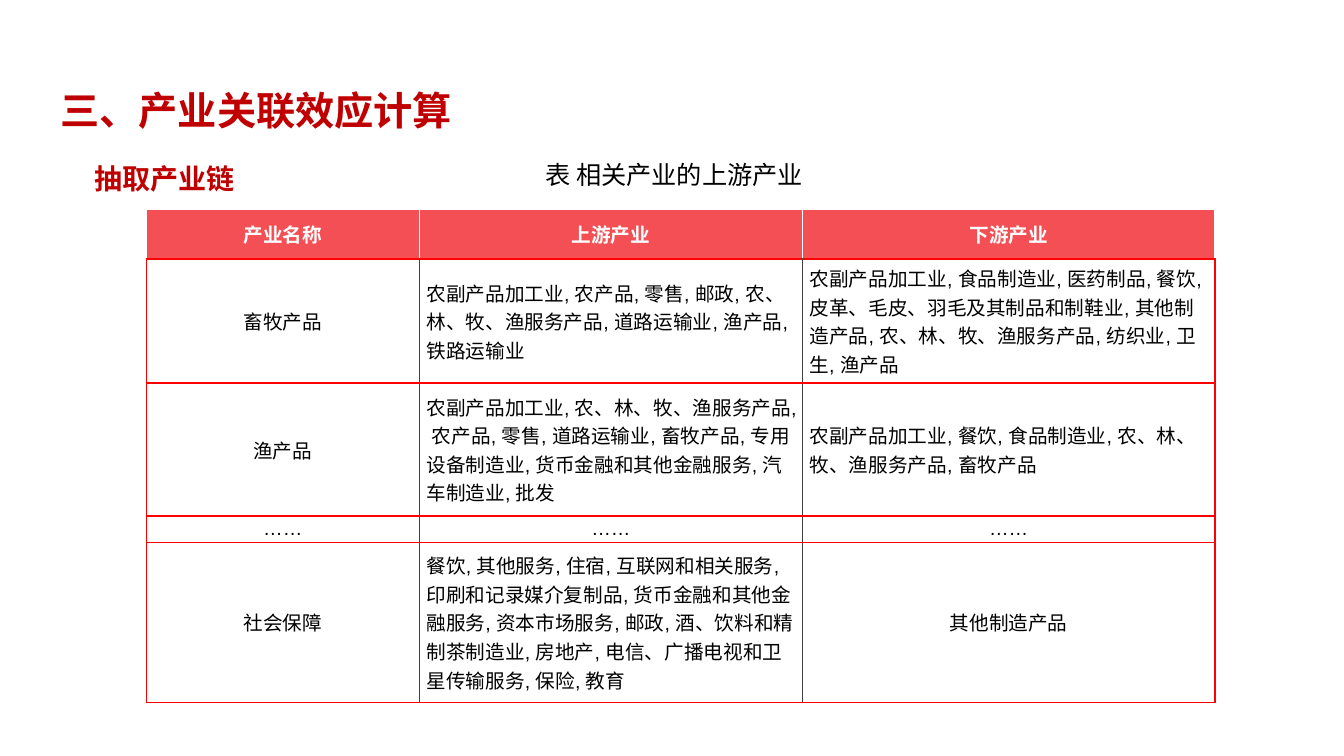
from lxml import etree
from pptx import Presentation
from pptx.dml.color import RGBColor
from pptx.enum.text import MSO_ANCHOR, MSO_AUTO_SIZE, PP_ALIGN
from pptx.oxml.ns import qn
from pptx.util import Inches, Pt

LEFT, CENTER = PP_ALIGN.LEFT, PP_ALIGN.CENTER
TOP, MIDDLE = MSO_ANCHOR.TOP, MSO_ANCHOR.MIDDLE
GROW = MSO_AUTO_SIZE.SHAPE_TO_FIT_TEXT
TITLE_ONLY = 5

COLORS = {"heading": "C00000", "header": "F44F54", "border": "FF0000",
          "inner": "404040", "white": "FFFFFF", "black": "000000"}
CJK_FONT = "Noto Sans CJK SC"

COLUMNS = [2.71, 3.8, 4.09]
ROWS = [0.49, 1.23, 1.32, 0.26, 1.59]
INDUSTRIES = [
    ["产业名称", "上游产业", "下游产业"],
    ["畜牧产品",
     "农副产品加工业, 农产品, 零售, 邮政, 农、林、牧、渔服务产品, 道路运输业, 渔产品, 铁路运输业",
     "农副产品加工业, 食品制造业, 医药制品, 餐饮, 皮革、毛皮、羽毛及其制品和制鞋业, "
     "其他制造产品, 农、林、牧、渔服务产品, 纺织业, 卫生, 渔产品"],
    ["渔产品",
     "农副产品加工业, 农、林、牧、渔服务产品, 农产品, 零售, 道路运输业, 畜牧产品, "
     "专用设备制造业, 货币金融和其他金融服务, 汽车制造业, 批发",
     "农副产品加工业, 餐饮, 食品制造业, 农、林、牧、渔服务产品, 畜牧产品"],
    ["……", "……", "……"],
    ["社会保障",
     "餐饮, 其他服务, 住宿, 互联网和相关服务, 印刷和记录媒介复制品, 货币金融和其他金融服务, "
     "资本市场服务, 邮政, 酒、饮料和精制茶制造业, 房地产, 电信、广播电视和卫星传输服务, 保险, 教育",
     "其他制造产品"],
]


class SlideBuilder:
    """Holds the page and the shared text style."""

    def __init__(self, page):
        self.page = page

    def add_span(self, frame, text, color, para_format, **font_format):
        para = frame.paragraphs[0]
        for name, value in para_format.items():
            setattr(para, name, value)
        span = para.add_run()
        span.text = text
        for name, value in font_format.items():
            setattr(span.font, name, value)
        span.font.color.rgb = RGBColor.from_string(COLORS[color])
        east_asian = etree.SubElement(span.font._element, qn("a:ea"))
        east_asian.set("typeface", CJK_FONT)
        return para

    def place(self, box, position, wrap=True):
        for name, value in zip(("left", "top", "width", "height"), position):
            setattr(box, name, Inches(value))
        frame = box.text_frame
        frame.word_wrap = wrap
        frame.auto_size = GROW
        frame.vertical_anchor = TOP
        return frame

    def title(self, text, position):
        frame = self.place(self.page.shapes.title, position)
        self.add_span(frame, text, "heading", {"alignment": LEFT, "line_spacing": 1.3},
                      size=Pt(28), bold=True, name=CJK_FONT)

    def text(self, text, position, color, para_format, wrap=True, **font_format):
        box = self.page.shapes.add_textbox(0, 0, 0, 0)
        frame = self.place(box, position, wrap)
        return self.add_span(frame, text, color, para_format, **font_format)

    def borders(self, cell, sides):
        properties = cell._tc.get_or_add_tcPr()
        for index, (side, color) in enumerate(sides.items()):
            line = etree.Element(qn("a:ln" + side), w=str(Pt(1)))
            fill = etree.SubElement(line, qn("a:solidFill"))
            etree.SubElement(fill, qn("a:srgbClr"), val=COLORS[color])
            properties.insert(index, line)

    def table(self, rows, left, top, widths, heights):
        frame = self.page.shapes.add_table(
            len(rows), len(widths), Inches(left), Inches(top),
            Inches(sum(widths)), Inches(sum(heights)))
        table = frame.table
        table.horz_banding = False
        for column, width in zip(table.columns, widths):
            column.width = Inches(width)
        for row, height in zip(table.rows, heights):
            row.height = Inches(height)
        for r, row in enumerate(rows):
            for c, text in enumerate(row):
                self.cell(table.cell(r, c), text, r == 0, c, len(widths) - 1)

    def cell(self, cell, text, is_header, column, last):
        cell_format = {"margin_left": Inches(0.07), "margin_right": Inches(0.07),
                       "margin_top": 0, "margin_bottom": 0, "vertical_anchor": MIDDLE}
        for name, value in cell_format.items():
            setattr(cell, name, value)
        if is_header:
            cell.fill.solid()
            cell.fill.fore_color.rgb = RGBColor.from_string(COLORS["header"])
            sides = {"L": "white", "R": "white", "T": "white", "B": "border"}
        else:
            cell.fill.background()
            sides = {"L": "inner" if column else "border",
                     "R": "inner" if column < last else "border",
                     "T": "border", "B": "border"}
        self.borders(cell, sides)
        # Long lists of industries run from the left; short labels are centred
        align = LEFT if ", " in text else CENTER
        self.add_span(cell.text_frame, text, "white" if is_header else "black",
                      {"alignment": align}, size=Pt(14), bold=is_header, name="Arial")


def main():
    deck = Presentation()
    deck.slide_width, deck.slide_height = Inches(13.33), Inches(7.5)
    builder = SlideBuilder(deck.slides.add_slide(deck.slide_layouts[TITLE_ONLY]))

    # Headings
    builder.title("三、产业关联效应计算", (0.5, 0.67, 4.4, 0.71))
    builder.text("抽取产业链", (0.84, 1.39, 2.78, 0.55), "heading",
                 {"line_spacing": 1.5, "space_after": Pt(12)},
                 size=Pt(20), bold=True, name=CJK_FONT)

    # Industry table and its caption
    builder.table(INDUSTRIES, 1.45, 2.08, COLUMNS, ROWS)
    caption = builder.text("表 相关产业的上游产业", (5, 1.53, 3.08, 0.4), "black",
                           {"alignment": CENTER}, wrap=False,
                           size=Pt(18), name="Calibri")
    caption._p.get_or_add_pPr().set("indent", str(Inches(0.29)))

    deck.save("out.pptx")


if __name__ == "__main__":
    main()
